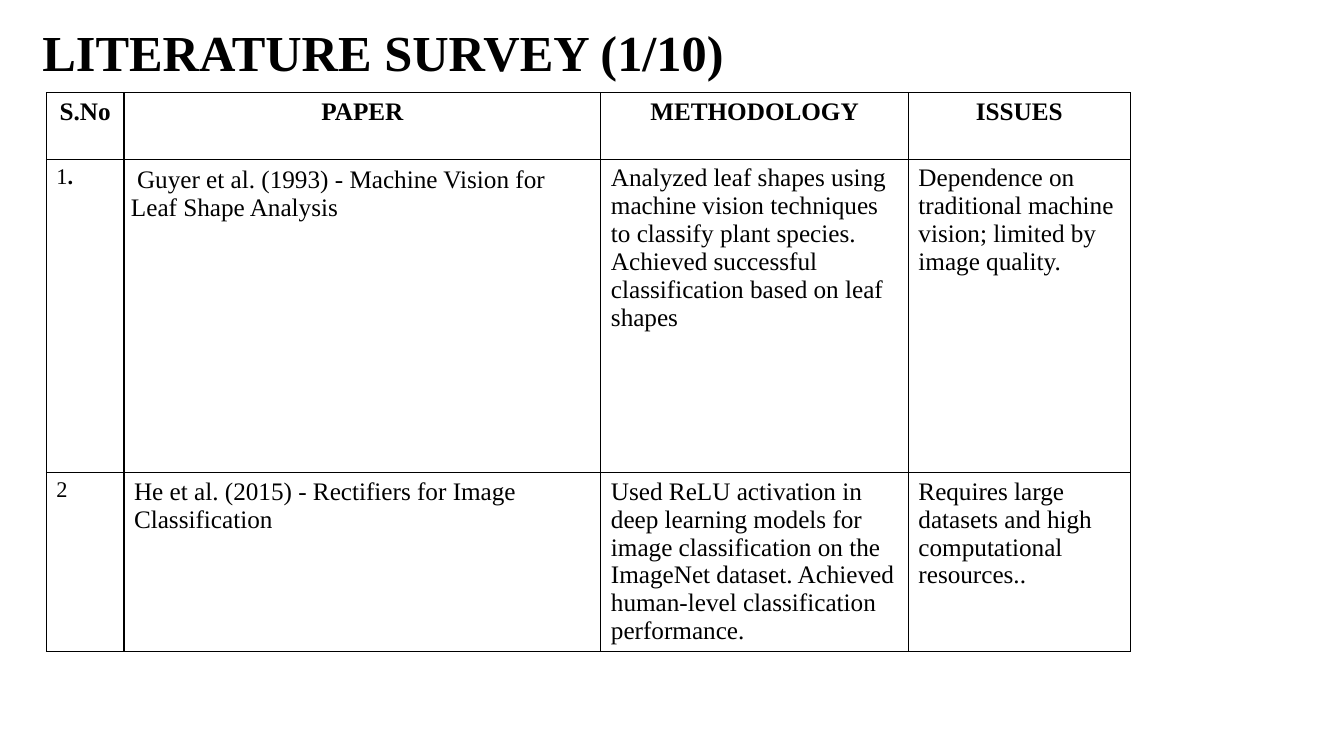
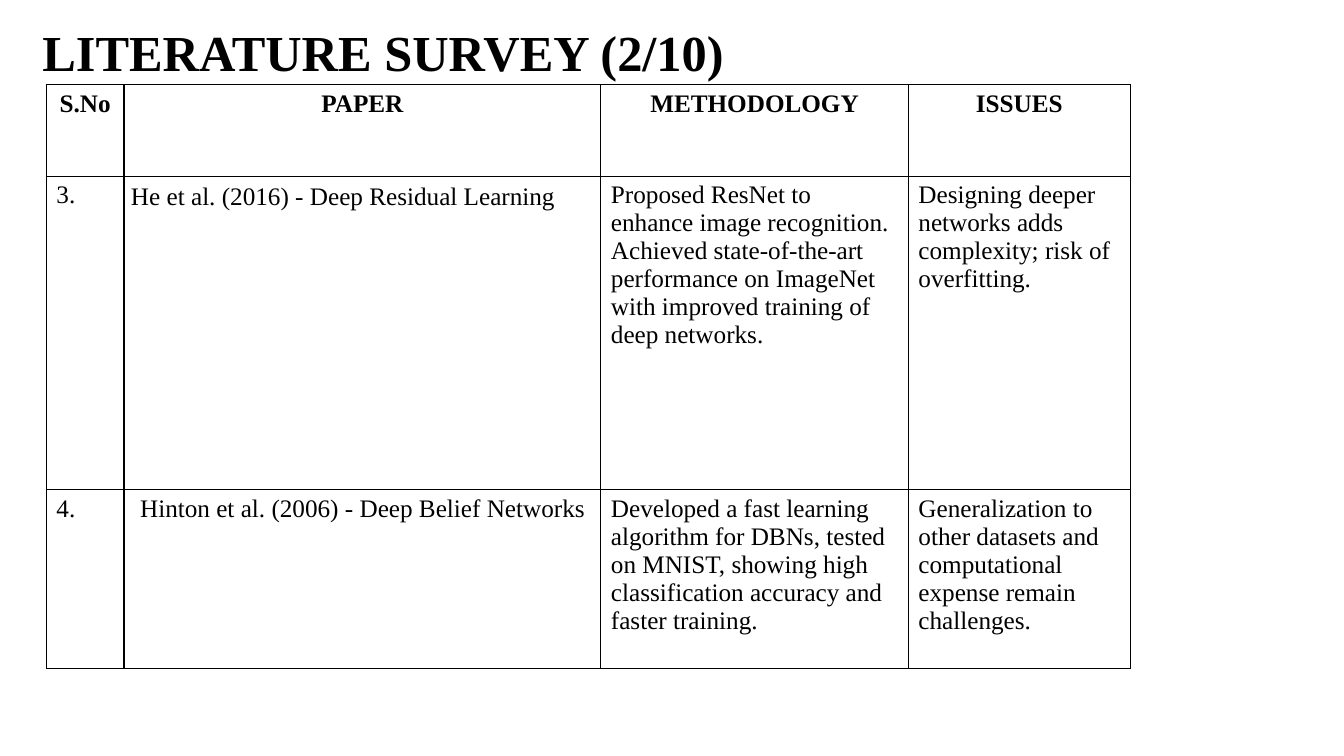
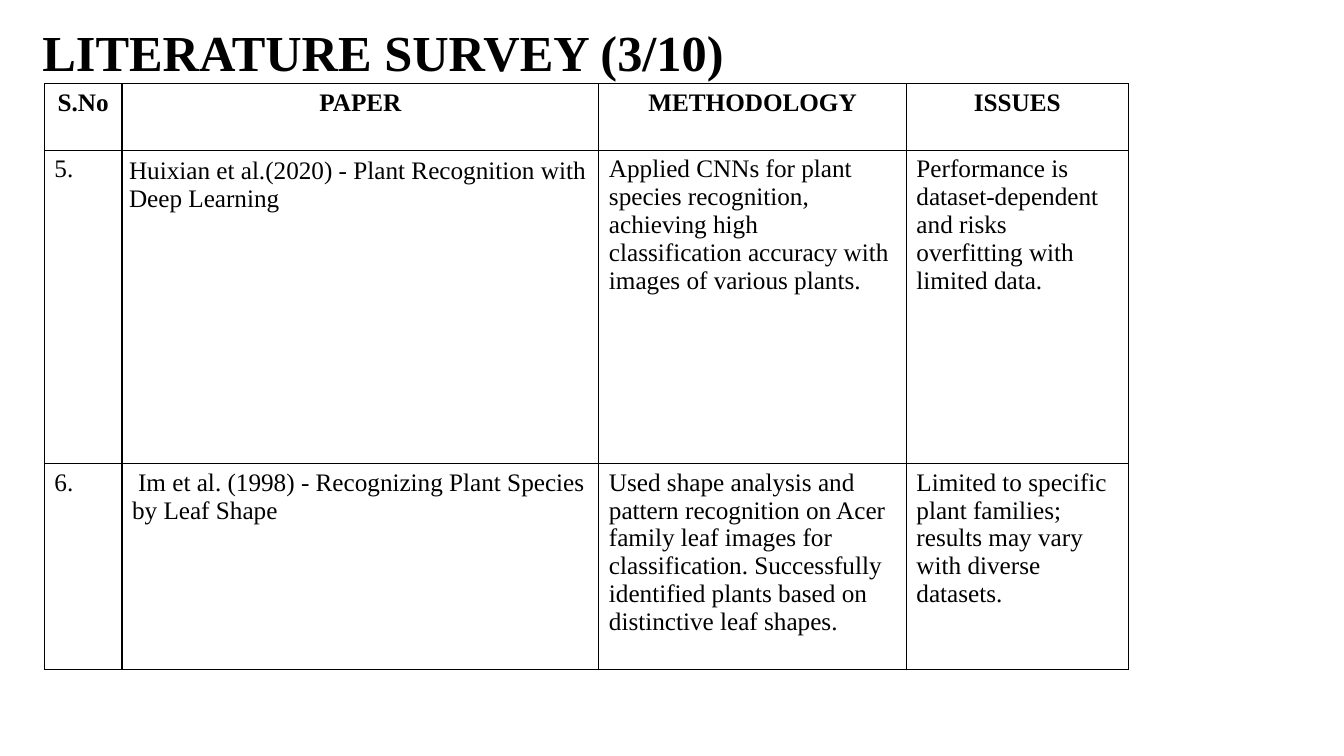
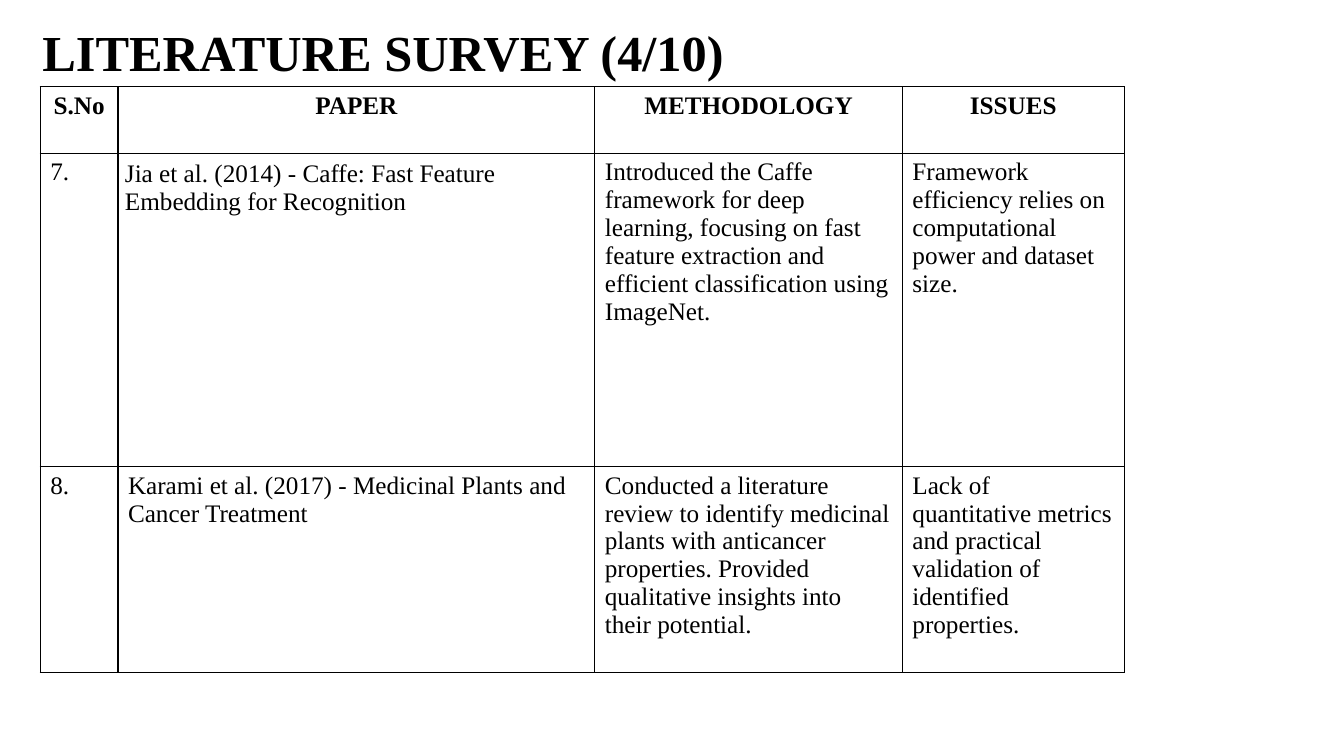
import pptx
import pptx.dml.color
import pptx.enum.text
import pptx.oxml.ns
import pptx.util
from lxml import etree

PX = 9144
FONT = "Times New Roman"
BLACK = "000000"
WHITE = "FFFFFF"
ALIGN = pptx.enum.text.PP_ALIGN
ANCHOR = pptx.enum.text.MSO_ANCHOR

TITLE_BOX = (32, -13, 1150, 135)
COLUMN_WIDTHS = (77, 473, 305, 220)
HEADINGS = ("S.No", "PAPER", "METHODOLOGY", "ISSUES")
INDENT = 6

SURVEYS = [
    {
        "at": (46, 92),
        "rows": (66, 311, 177),
        "papers": [
            ([("1", 16, False), (".", 16, True)], INDENT,
             "Guyer et al. (1993) - Machine Vision for Leaf Shape Analysis",
             "Analyzed leaf shapes using machine vision techniques to classify plant species. "
             "Achieved successful classification based on leaf shapes",
             "Dependence on traditional machine vision; limited by image quality."),
            ([("2", 16, False)], 0,
             "He et al. (2015) - Rectifiers for Image Classification",
             "Used ReLU activation in deep learning models for image classification on the "
             "ImageNet dataset. Achieved human-level classification performance.",
             "Requires large datasets and high computational resources.."),
        ],
    },
    {
        "at": (46, 84),
        "rows": (91, 311, 177),
        "papers": [
            ([("3.", 18, False)], 0,
             "He et al. (2016) - Deep Residual Learning",
             "Proposed ResNet to enhance image recognition. Achieved state-of-the-art "
             "performance on ImageNet with improved training of deep networks.",
             "Designing deeper networks adds complexity; risk of overfitting."),
            ([("4.", 18, False)], INDENT,
             "Hinton et al. (2006) - Deep Belief Networks",
             "Developed a fast learning algorithm for DBNs, tested on MNIST, showing high "
             "classification accuracy and faster training.",
             "Generalization to other datasets and computational expense remain challenges."),
        ],
    },
    {
        "at": (44, 83),
        "rows": (66, 311, 204),
        "papers": [
            ([("5.", 18, False)], 0,
             "Huixian et al.(2020) - Plant Recognition with Deep Learning",
             "Applied CNNs for plant species recognition, achieving high classification "
             "accuracy with images of various plants.",
             "Performance is dataset-dependent and risks overfitting with limited data."),
            ([("6.", 18, False)], INDENT,
             "Im et al. (1998) - Recognizing Plant Species by Leaf Shape",
             "Used shape analysis and pattern recognition on Acer family leaf images for "
             "classification. Successfully identified plants based on distinctive leaf shapes.",
             "Limited to specific plant families; results may vary with diverse datasets."),
        ],
    },
    {
        "at": (40, 86),
        "rows": (66, 311, 204),
        "papers": [
            ([("7.", 18, False)], 0,
             "Jia et al. (2014) - Caffe: Fast Feature Embedding for Recognition",
             "Introduced the Caffe framework for deep learning, focusing on fast feature "
             "extraction and efficient classification using ImageNet.",
             "Framework efficiency relies on computational power and dataset size."),
            ([("8.", 18, False)], 0,
             "Karami et al. (2017) - Medicinal Plants and Cancer Treatment",
             "Conducted a literature review to identify medicinal plants with anticancer "
             "properties. Provided qualitative insights into their potential.",
             "Lack of quantitative metrics and practical validation of identified properties."),
        ],
    },
]


def px(n):
    return pptx.util.Emu(n * PX)


def rgb(color):
    return pptx.dml.color.RGBColor.from_string(color)


def add_run(p, text, size, bold=False):
    r = p.add_run()
    r.text = text
    r.font.name = FONT
    r.font.size = pptx.util.Pt(size)
    r.font.bold = bold
    r.font.color.rgb = rgb(BLACK)


def add_title(slide, text):
    sp = slide.shapes.title
    sp.left, sp.top, sp.width, sp.height = map(px, TITLE_BOX)
    tf = sp.text_frame
    tf.word_wrap = True
    tf.vertical_anchor = ANCHOR.MIDDLE
    p = tf.paragraphs[0]
    p.alignment = ALIGN.LEFT
    p.line_spacing = 0.9
    add_run(p, text, 36, True)


def set_borders(cell):
    tc_pr = cell._tc.get_or_add_tcPr()
    for i, side in enumerate(("a:lnL", "a:lnR", "a:lnT", "a:lnB")):
        ln = etree.Element(pptx.oxml.ns.qn(side), w=str(pptx.util.Pt(0.96)))
        fill = etree.SubElement(ln, pptx.oxml.ns.qn("a:solidFill"))
        etree.SubElement(fill, pptx.oxml.ns.qn("a:srgbClr"), val=BLACK)
        tc_pr.insert(i, ln)


def fill_cell(cell, runs, align=ALIGN.LEFT, fill=None, indent=0):
    if fill:
        cell.fill.solid()
        cell.fill.fore_color.rgb = rgb(fill)
    else:
        cell.fill.background()
    set_borders(cell)
    p = cell.text_frame.paragraphs[0]
    p.alignment = align
    if indent:
        p._p.get_or_add_pPr().set("indent", str(px(indent)))
    for text, size, bold in runs:
        add_run(p, text, size, bold)


def add_survey_table(slide, at, rows, papers):
    shape = slide.shapes.add_table(
        len(rows), len(COLUMN_WIDTHS), px(at[0]), px(at[1]),
        px(sum(COLUMN_WIDTHS)), px(sum(rows)))
    table = shape.table
    table.horz_banding = False
    for column, width in zip(table.columns, COLUMN_WIDTHS):
        column.width = px(width)
    for row, height in zip(table.rows, rows):
        row.height = px(height)
    for c, heading in enumerate(HEADINGS):
        fill_cell(table.cell(0, c), [(heading, 18, True)], ALIGN.CENTER, WHITE)
    for i, (number, indent, paper, methodology, issues) in enumerate(papers, 1):
        fill_cell(table.cell(i, 0), number)
        fill_cell(table.cell(i, 1), [(paper, 18, False)], indent=indent)
        fill_cell(table.cell(i, 2), [(methodology, 18, False)])
        fill_cell(table.cell(i, 3), [(issues, 18, False)])
    first_paper = table.cell(1, 1)
    first_paper.margin_left = first_paper.margin_right = px(7)
    first_paper.margin_top = first_paper.margin_bottom = px(7)


def main():
    prs = pptx.Presentation()
    prs.slide_width, prs.slide_height = px(1333), px(750)
    for n, survey in enumerate(SURVEYS, 1):
        slide = prs.slides.add_slide(prs.slide_layouts[5])
        add_title(slide, f"LITERATURE SURVEY ({n}/10)")
        add_survey_table(slide, **survey)
    prs.save("out.pptx")


if __name__ == "__main__":
    main()
